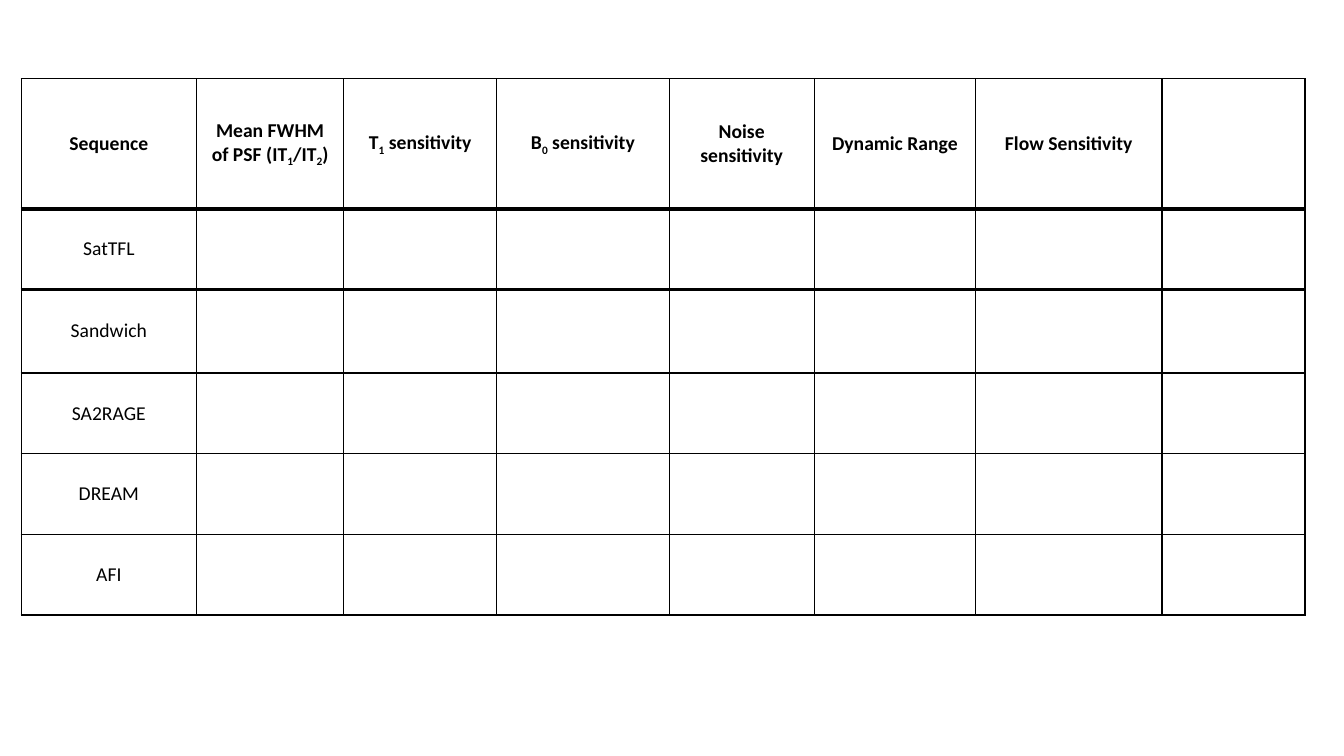
from lxml.etree import SubElement
from pptx import Presentation
from pptx.dml.color import RGBColor
from pptx.enum.text import MSO_ANCHOR, PP_ALIGN
from pptx.oxml.ns import qn
from pptx.util import Pt

HEADINGS = [
    "Sequence",
    "Mean FWHM of PSF (IT_1_/IT_2_)",
    "T_1_ sensitivity",
    "B_0_ sensitivity",
    "Noise sensitivity",
    "Dynamic Range",
    "Flow Sensitivity",
    "",
]
SEQUENCES = ["SatTFL", "Sandwich", "SA2RAGE", "DREAM", "AFI"]
COLUMN_WIDTHS = [125.3, 105.1, 109.4, 123.1, 103.7, 115.2, 133.2, 102.2]
ROW_HEIGHTS = [92.9, 57.6, 59.8, 57.6, 57.6, 57.6, 46.1]
RULES = [1, 3, 3, 1, 1, 1, 1, 0]


def color(value):
    return RGBColor.from_string(value)


class SlideBuilder:
    font = "Calibri"
    size = 14
    ink = "000000"

    def __init__(self, page):
        self.page = page

    def table(self, left, top, widths, heights):
        frame = self.page.shapes.add_table(
            len(heights), len(widths), Pt(left), Pt(top), Pt(sum(widths)), Pt(sum(heights))
        )
        table = frame.table
        table.first_row = False
        table.horz_banding = False
        for column, width in zip(table.columns, widths):
            column.width = Pt(width)
        for row, height in zip(table.rows, heights):
            row.height = Pt(height)
        return table

    def borders(self, cell, left, right, top, bottom):
        properties = cell._tc.get_or_add_tcPr()
        for side, width in zip("LRTB", (left, right, top, bottom)):
            line = SubElement(properties, qn(f"a:ln{side}"), w=str(Pt(width)))
            if width:
                fill = SubElement(line, qn("a:solidFill"))
                SubElement(fill, qn("a:srgbClr"), val=self.ink)
            else:
                SubElement(line, qn("a:noFill"))
        cell.fill.background()

    def text(self, cell, text, bold):
        cell.vertical_anchor = MSO_ANCHOR.MIDDLE
        para = cell.text_frame.paragraphs[0]
        para.alignment = PP_ALIGN.CENTER
        para.font.name = self.font
        para.font.size = Pt(self.size)
        para.font.bold = bold
        para.font.color.rgb = color(self.ink)
        for index, part in enumerate(text.split("_")):
            span = para.add_run()
            span.text = part
            if index % 2:
                span._r.get_or_add_rPr().set("baseline", "-25000")


def main():
    deck = Presentation()
    deck.slide_width, deck.slide_height = Pt(960), Pt(540)
    builder = SlideBuilder(deck.slides.add_slide(deck.slide_layouts[6]))

    table = builder.table(15.1, 56.2, COLUMN_WIDTHS, ROW_HEIGHTS)
    footer = len(ROW_HEIGHTS) - 1
    for row in range(len(ROW_HEIGHTS)):
        side = 0 if row == footer else 1
        for column in range(len(COLUMN_WIDTHS)):
            builder.borders(table.cell(row, column), side, side, RULES[row], RULES[row + 1])
    table.cell(footer, 0).merge(table.cell(footer, len(COLUMN_WIDTHS) - 2))

    for column, heading in enumerate(HEADINGS):
        if heading:
            builder.text(table.cell(0, column), heading, True)
    for row, sequence in enumerate(SEQUENCES, 1):
        builder.text(table.cell(row, 0), sequence, False)

    deck.save("out.pptx")


if __name__ == "__main__":
    main()
